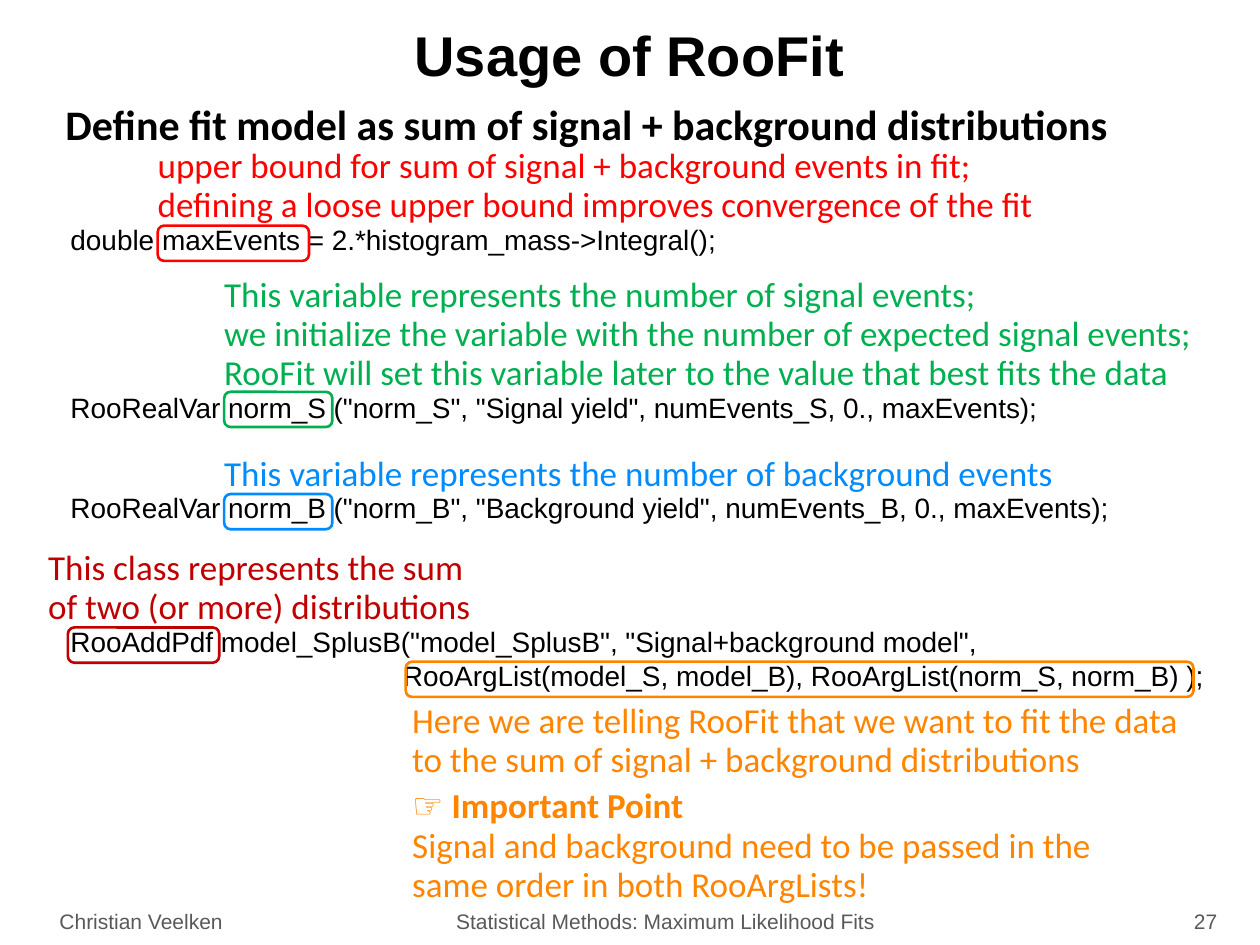
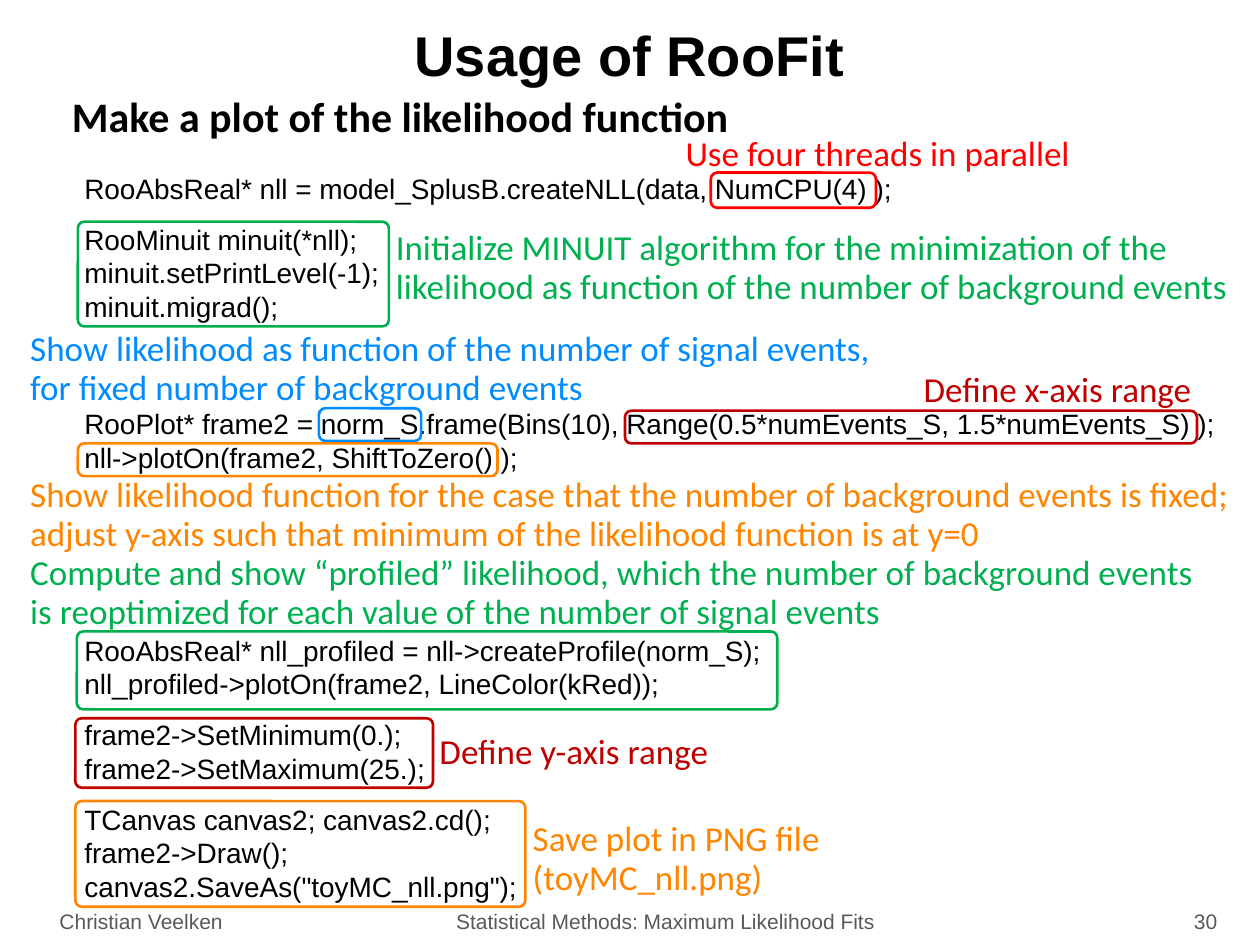
"""Build two slides on fit models and likelihood plots in RooFit."""
from lxml import etree
from pptx import Presentation
from pptx.dml.color import RGBColor
from pptx.enum.shapes import MSO_SHAPE
from pptx.enum.text import MSO_ANCHOR, MSO_AUTO_SIZE, PP_ALIGN
from pptx.oxml.ns import qn
from pptx.util import Cm, Pt

ROUND = MSO_SHAPE.ROUNDED_RECTANGLE
TOP = MSO_ANCHOR.TOP
FIXED = MSO_AUTO_SIZE.NONE
LEFT, CENTER = PP_ALIGN.LEFT, PP_ALIGN.CENTER

BLACK = RGBColor(0x00, 0x00, 0x00)
GRAY = RGBColor(0x59, 0x59, 0x59)
RED = RGBColor(0xFF, 0x00, 0x00)
GREEN = RGBColor(0x00, 0xB0, 0x50)
BLUE = RGBColor(0x00, 0x8B, 0xFF)
ORANGE = RGBColor(0xFF, 0x85, 0x00)
DARK = RGBColor(0xC0, 0x00, 0x00)

TITLE = "Usage of RooFit"
AUTHOR = "Christian Veelken"
TALK = "Statistical Methods: Maximum Likelihood Fits"
POINT = "☞ Important Point"

LOOKS = {
    "title": {"name": "Arial", "size": Pt(32), "bold": True},
    "head": {"name": "Calibri", "size": Pt(24), "bold": True},
    "note": {"name": "Calibri", "size": Pt(20), "bold": False},
    "code": {"name": "Arial", "size": Pt(16), "bold": False},
    "foot": {"name": "Arial", "size": Pt(12), "bold": False},
}
TIGHT = {"line_spacing": 0.93, "space_before": Pt(0), "alignment": LEFT}
MID = {**TIGHT, "alignment": CENTER}
LISTING = {**TIGHT, "line_spacing": Pt(19.15)}
PLAIN = {"space_before": Pt(0)}
ROW = 0.8
RADIUS = 0.13
TABS = (("ctr", 12.22), ("r", 23.34))

# code: (gap above in points, lines); frames: box, colour; notes: left, top, width, rows
SLIDES = [
    {
        "page": 27,
        "head": ((1.32, 2.08, 23.44, 0.97),
                 "Define fit model as sum of signal + background distributions"),
        "area": (1.17, 4.36, 24, 9.83),
        "code": [
            (0, ["double maxEvents = 2.*histogram_mass->Integral();"]),
            (76.6, ['RooRealVar norm_S ("norm_S", "Signal yield", numEvents_S, 0., maxEvents);']),
            (38.3, ['RooRealVar norm_B ("norm_B", "Background yield", numEvents_B, 0., maxEvents);']),
            (57.45, ['RooAddPdf model_SplusB("model_SplusB", "Signal+background model",',
                     "                                           "
                     "RooArgList(model_S, model_B), RooArgList(norm_S, norm_B) );"]),
        ],
        "frames": [
            ((3.18, 4.55, 3.05, 0.71), RED),
            ((4.52, 7.9, 2.18, 0.71), GREEN),
            ((4.52, 9.96, 2.18, 0.71), BLUE),
            ((8.18, 13.34, 15.88, 0.71), ORANGE),
            ((1.37, 12.65, 3.05, 0.71), DARK),
        ],
        "notes": [
            (3.18, 2.97, 18.08, 2, RED,
             ["upper bound for sum of signal + background events in fit;",
              "defining a loose upper bound improves convergence of the fit"]),
            (4.52, 5.56, 20.4, 3, GREEN,
             ["This variable represents the number of signal events;",
              "we initialize the variable with the number of expected signal events;",
              "RooFit will set this variable later to the value that best fits the data"]),
            (4.52, 9.17, 20.4, 1, BLUE,
             ["This variable represents the number of background events"]),
            (8.31, 14.15, 15.72, 2, ORANGE,
             ["Here we are telling RooFit that we want to fit the data "
              "to the sum of signal + background distributions"]),
            (0.97, 11.07, 8.97, 2, DARK,
             ["This class represents the sum", "of two (or more) distributions"]),
            (8.31, 15.88, 15.16, 3, ORANGE,
             [POINT, "Signal and background need to be passed in the "
                     "same order in both RooArgLists!"]),
        ],
    },
    {
        "page": 30,
        "head": ((1.45, 1.91, 23.44, 0.97), "Make a plot of the likelihood function"),
        "area": (1.45, 3.33, 23.44, 15.65),
        "code": [
            (0, ["RooAbsReal* nll = model_SplusB.createNLL(data, NumCPU(4) );"]),
            (10, ["RooMinuit minuit(*nll);", "minuit.setPrintLevel(-1);", "minuit.migrad();"]),
            (48, ["RooPlot* frame2 = norm_S.frame(Bins(10), "
                  "Range(0.5*numEvents_S, 1.5*numEvents_S) );",
                  "nll->plotOn(frame2, ShiftToZero() );"]),
            (91, ["RooAbsReal* nll_profiled = nll->createProfile(norm_S);",
                  "nll_profiled->plotOn(frame2, LineColor(kRed));"]),
            (10, ["frame2->SetMinimum(0.);", "frame2->SetMaximum(25.);"]),
            (10, ["TCanvas canvas2; canvas2.cd();", "frame2->Draw();",
                  'canvas2.SaveAs("toyMC_nll.png");']),
        ],
        "frames": [
            ((14.33, 3.48, 3.33, 0.71), RED),
            ((6.43, 8.23, 2.06, 0.66), BLUE),
            ((1.57, 4.47, 6.27, 2.11), GREEN),
            ((12.6, 8.28, 11.53, 0.66), DARK),
            ((1.57, 8.94, 8.46, 0.66), ORANGE),
            ((1.52, 14.48, 7.21, 1.4), DARK),
            ((1.55, 12.73, 14.12, 1.57), GREEN),
            ((1.52, 16.15, 9.07, 2.13), ORANGE),
        ],
        "notes": [
            (13.82, 2.72, 7.92, 1, RED, ["Use four threads in parallel"]),
            (0.61, 6.65, 17.22, 2, BLUE,
             ["Show likelihood as function of the number of signal events,",
              "for fixed number of background events"]),
            (7.98, 4.62, 17.07, 2, GREEN,
             ["Initialize MINUIT algorithm for the minimization of the "
              "likelihood as function of the number of background events"]),
            (18.62, 7.49, 5.56, 1, DARK, ["Define x-axis range"]),
            (0.61, 9.6, 24.7, 2, ORANGE,
             ["Show likelihood function for the case that the number of "
              "background events is fixed;",
              "adjust y-axis such that minimum of the likelihood function is at y=0"]),
            (8.86, 14.78, 5.56, 1, DARK, ["Define y-axis range"]),
            (0.61, 11.18, 24, 2, GREEN,
             ["Compute and show “profiled” likelihood, which the number of background events "
              "is reoptimized for each value of the number of signal events"]),
            (10.74, 16.54, 8.81, 2, ORANGE, ["Save plot in PNG file (toyMC_nll.png)"]),
        ],
    },
]


def assign(item, values):
    """Set every attribute named in values."""
    for key, value in values.items():
        setattr(item, key, value)


def place(shape, box):
    """Move a shape to a box given in centimetres."""
    assign(shape, dict(zip(("left", "top", "width", "height"), map(Cm, box))))


def fill(shape, lines, look, color, layout, pad=(0, 0)):
    """Write one formatted paragraph per line."""
    frame = shape.text_frame
    across, down = map(Cm, pad)
    assign(frame, {"word_wrap": True, "auto_size": FIXED, "vertical_anchor": TOP,
                   "margin_left": across, "margin_right": across,
                   "margin_top": down, "margin_bottom": down})
    frame.text = "\n".join(lines)
    for para in frame.paragraphs:
        assign(para, layout)
        for run in para.runs:
            assign(run.font, LOOKS[look])
            run.font.color.rgb = color
    return frame.paragraphs


def add_text(slide, box, *args, **more):
    """Add a text box and fill it."""
    return fill(slide.shapes.add_textbox(*map(Cm, box)), *args, **more)


def add_code(shape, area, blocks):
    """Set blocks of code without bullets, with gaps between the blocks."""
    place(shape, area)
    lines = [line for _, block in blocks for line in block]
    gaps = [gap if not i else 0 for gap, block in blocks for i in range(len(block))]
    paras = fill(shape, lines, "code", BLACK, LISTING, pad=(0.25, 0.13))
    for para, gap in zip(paras, gaps):
        props = para._p.get_or_add_pPr()
        props.set("marL", "0")
        props.set("indent", "0")
        etree.SubElement(props, qn("a:buNone"))
        para.space_before = Pt(gap)


def add_frame(slide, box, color):
    """Outline a piece of code."""
    shape = slide.shapes.add_shape(ROUND, *map(Cm, box))
    shape.adjustments[0] = RADIUS / min(box[2:])
    shape.shadow.inherit = False
    shape.fill.background()
    shape.line.color.rgb = color
    shape.line.width = Pt(1.5)


def add_foot(slide, page):
    """Add author, talk and page number on tab stops."""
    text = "\t".join((AUTHOR, TALK, str(page)))
    para = add_text(slide, (0.97, 18.19, 24.43, 0.74), [text], "foot", GRAY,
                    PLAIN, pad=(0.23, 0.13))[0]
    stops = etree.SubElement(para._p.get_or_add_pPr(), qn("a:tabLst"))
    for side, at in TABS:
        etree.SubElement(stops, qn("a:tab"), pos=str(Cm(at)), algn=side)


def add_slide(deck, data):
    """Build one slide from its content."""
    slide = deck.slides.add_slide(deck.slide_layouts[1])
    title, body = slide.placeholders
    place(title, (0.97, 0.53, 23.44, 1.3))
    fill(title, [TITLE], "title", BLACK, MID)
    add_code(body, data["area"], data["code"])
    box, head = data["head"]
    add_text(slide, box, [head], "head", BLACK, TIGHT)
    for box, color in data["frames"]:
        add_frame(slide, box, color)
    for left, top, width, rows, color, lines in data["notes"]:
        paras = add_text(slide, (left, top, width, rows * ROW), lines, "note", color, TIGHT)
        if lines[0] == POINT:
            paras[0].runs[0].font.bold = True
    add_foot(slide, data["page"])


def main():
    """Build and save the deck."""
    deck = Presentation()
    deck.slide_width, deck.slide_height = Cm(25.4), Cm(19.05)
    for data in SLIDES:
        add_slide(deck, data)
    deck.save("out.pptx")


if __name__ == "__main__":
    main()
